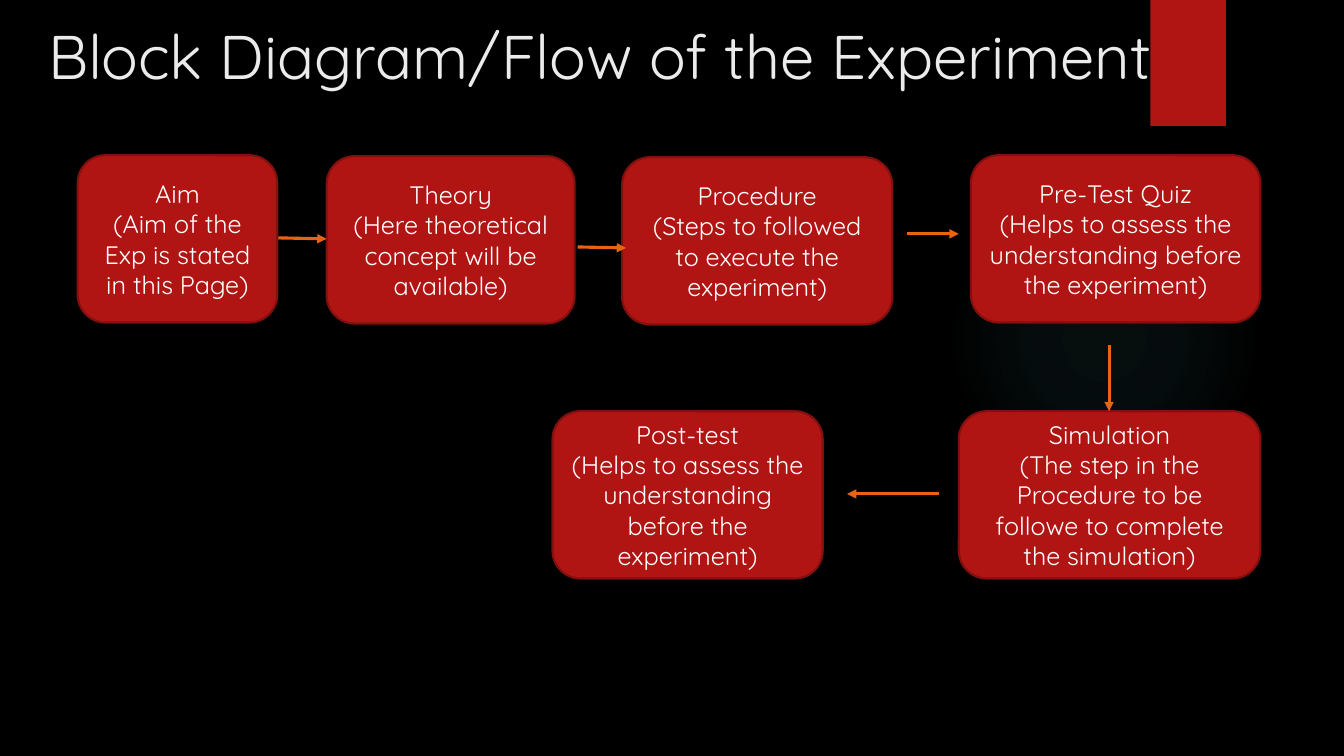
from lxml import etree
from pptx import Presentation
from pptx.dml.color import RGBColor
from pptx.enum.shapes import MSO_CONNECTOR, MSO_SHAPE
from pptx.enum.text import MSO_ANCHOR, PP_ALIGN
from pptx.oxml import parse_xml
from pptx.oxml.ns import nsdecls, qn
from pptx.util import Inches, Pt

STRAIGHT = MSO_CONNECTOR.STRAIGHT
ELLIPSE, RECTANGLE, ROUNDED = MSO_SHAPE.OVAL, MSO_SHAPE.RECTANGLE, MSO_SHAPE.ROUNDED_RECTANGLE
TOP, MIDDLE = MSO_ANCHOR.TOP, MSO_ANCHOR.MIDDLE
LEFT, CENTER = PP_ALIGN.LEFT, PP_ALIGN.CENTER

BLACK = RGBColor(0x00, 0x00, 0x00)
RED = RGBColor(0xB0, 0x15, 0x13)
DARK_RED = RGBColor(0x82, 0x10, 0x0E)
ORANGE = RGBColor(0xEA, 0x63, 0x12)
TEAL = RGBColor(0x50, 0xB9, 0xC1)
PALE = RGBColor(0xEB, 0xEB, 0xEB)
WHITE = RGBColor(0xFF, 0xFF, 0xFF)

FONT = "Quicksand"
STEP_HEIGHT = 1.66
GLOW_STOPS = [(0, 7), (36, 6), (69, 0)]

STEPS = [
    (0.77, 1.54, 1.98, "Aim", "(Aim of the Exp is stated in this Page)"),
    (3.24, 1.55, 2.46, "Theory", "(Here theoretical concept will be available)"),
    (6.17, 1.56, 2.68, "Procedure", "(Steps to followed to execute the experiment)"),
    (9.63, 1.54, 2.87, "Pre-Test Quiz",
     "(Helps to assess the understanding before the experiment)"),
    (9.51, 4.08, 2.99, "Simulation",
     "(The step in the Procedure to be followe to complete the simulation)"),
    (5.48, 4.08, 2.68, "Post-test",
     "(Helps to assess the understanding before the experiment)"),
]
ARROWS = [
    (2.76, 2.36, 3.24, 2.37),
    (5.73, 2.45, 6.21, 2.46),
    (9, 2.32, 9.51, 2.32),
    (11, 3.42, 11, 4.08),
    (9.31, 4.9, 8.4, 4.9),
]


def write_text(frame, *lines, size=18, color=WHITE, align=CENTER, anchor=MIDDLE):
    """Fill a text frame with one paragraph per line."""
    frame.word_wrap = True
    frame.vertical_anchor = anchor
    for index, line in enumerate(lines):
        paragraph = frame.paragraphs[0] if index == 0 else frame.add_paragraph()
        paragraph.alignment = align
        run = paragraph.add_run()
        run.text = line
        run.font.name = FONT
        run.font.size = Pt(size)
        run.font.color.rgb = color


def add_block(slide, kind, left, top, width, height, fill=None, outline=None):
    """Add a preset shape with an optional solid fill and outline."""
    block = slide.shapes.add_shape(
        kind, Inches(left), Inches(top), Inches(width), Inches(height))
    block.shadow.inherit = False
    if fill is not None:
        block.fill.solid()
        block.fill.fore_color.rgb = fill
    if outline is None:
        block.line.fill.background()
    else:
        block.line.color.rgb = outline
        block.line.width = Pt(1.5)
    return block


def add_glow(slide, left, top, size):
    """Add a faint circle that fades out from its centre."""
    glow = add_block(slide, ELLIPSE, left, top, size, size)
    stops = "".join(
        f'<a:gs pos="{place * 1000}"><a:srgbClr val="{TEAL}">'
        f'<a:alpha val="{alpha * 1000}"/></a:srgbClr></a:gs>'
        for place, alpha in GLOW_STOPS)
    gradient = parse_xml(
        f'<a:gradFill {nsdecls("a")} rotWithShape="1"><a:gsLst>{stops}</a:gsLst>'
        '<a:path path="circle"><a:fillToRect l="50000" t="50000" r="50000" b="50000"/>'
        '</a:path></a:gradFill>')
    glow.element.spPr.find(qn("a:prstGeom")).addnext(gradient)


def add_title(slide, title):
    """Add the slide heading."""
    heading = slide.shapes.add_textbox(
        Inches(0.38), Inches(0.13), Inches(12.2), Inches(1.22))
    write_text(heading.text_frame, title, size=44, color=PALE, align=LEFT, anchor=TOP)


def add_step(slide, left, top, width, name, detail):
    """Add one step of the experiment."""
    step = add_block(slide, ROUNDED, left, top, width, STEP_HEIGHT, RED, DARK_RED)
    write_text(step.text_frame, name, detail)


def add_arrow(slide, *ends):
    """Add an arrow from the first point to the second."""
    arrow = slide.shapes.add_connector(STRAIGHT, *map(Inches, ends))
    arrow.line.color.rgb = ORANGE
    arrow.line.width = Pt(2.25)
    etree.SubElement(arrow.line._get_or_add_ln(), qn("a:tailEnd"), type="triangle")
    etree.SubElement(arrow._element.spPr, qn("a:effectLst"))


def main():
    """Build the flow of the experiment and save it."""
    deck = Presentation()
    deck.slide_width, deck.slide_height = Inches(13.33), Inches(7.5)
    slide = deck.slides.add_slide(deck.slide_layouts[6])
    slide.background.fill.solid()
    slide.background.fill.fore_color.rgb = BLACK

    add_glow(slide, 9.41, 1.83, 3.08)
    add_block(slide, RECTANGLE, 11.41, 0, 0.75, 1.25, RED)
    add_title(slide, "Block Diagram/Flow of the Experiment")
    for step in STEPS:
        add_step(slide, *step)
    for arrow in ARROWS:
        add_arrow(slide, *arrow)
    deck.save("out.pptx")


if __name__ == "__main__":
    main()
